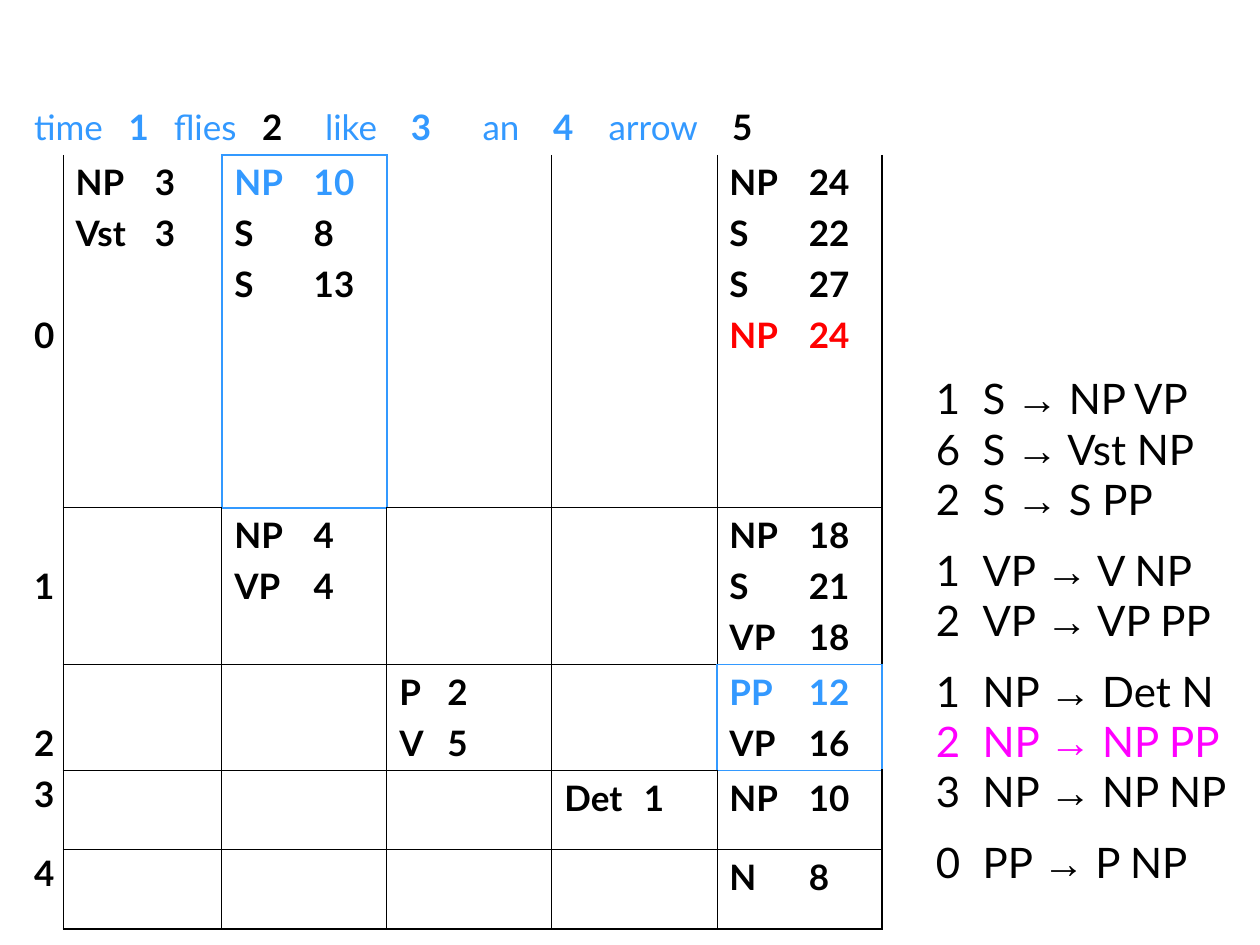
from lxml import etree
from pptx import Presentation
from pptx import util as u
from pptx.dml.color import RGBColor
from pptx.enum import text
from pptx.oxml.ns import qn

BLACK, BLUE, RED, PINK = "000000", "3399FF", "FF0000", "FF00FF"
COLS = [0.33, 1.26] + [1.31] * 4
ROWS = [0.44, 2.8, 1.24, 0.84, 0.63, 0.63]
PLAIN = "{2D5ABB26-0587-4C30-8999-92F81FD0307C}"  # no style, no grid
SIDES = {"L": (0, -1), "R": (0, 1), "T": (-1, 0), "B": (1, 0)}
FRAMED = {(1, 2), (3, 5)}

# word, colour, bold, tab position
WORDS = [
    ("time", BLUE, False, 0), ("1", BLUE, True, 0.75),
    ("flies", BLUE, False, 1.11), ("2", BLACK, True, 1.81),
    ("like", BLUE, False, 2.31), ("3", BLUE, True, 2.99),
    ("an", BLUE, False, 3.56), ("4", BLUE, True, 4.12),
    ("arrow", BLUE, False, 4.56), ("5", BLACK, True, 5.54),
]
# row label: line spacing, top margin
LABELS = [(1, 1.26), (2.2, 0.05), (2.2, 0.05), (0.9, 0.05), (0.9, 0.05)]
CHART = {
    (1, 1): [("NP", 3), ("Vst", 3)],
    (1, 2): [("NP", 10, BLUE), ("S", 8), ("S", 13)],
    (1, 5): [("NP", 24), ("S", 22), ("S", 27), ("NP", 24, RED)],
    (2, 2): [("NP", 4), ("VP", 4)],
    (2, 5): [("NP", 18), ("S", 21), ("VP", 18)],
    (3, 3): [("P", 2), ("V", 5)],
    (3, 5): [("PP", 12, BLUE), ("VP", 16)],
    (4, 4): [("Det", 1)],
    (4, 5): [("NP", 10)],
    (5, 5): [("N", 8)],
}
GRAMMAR = [
    [(1, "S", "NP VP"), (6, "S", "Vst NP"), (2, "S", "S PP")],
    [(1, "VP", "V NP"), (2, "VP", "VP PP")],
    [(1, "NP", "Det N"), (2, "NP", "NP PP", PINK), (3, "NP", "NP NP")],
    [(0, "PP", "P NP")],
]


def rgb(code):
    return RGBColor.from_string(code)


def add_run(para, words, size, color=BLACK, bold=False, face="Lato"):
    run = para.add_run()
    run.text = words
    font = run.font
    font.size, font.bold, font.name = u.Pt(size), bold, face
    font.color.rgb = rgb(color)


def set_tabs(para, *stops):
    tabs = etree.SubElement(para._p.get_or_add_pPr(), qn("a:tabLst"))
    for stop in stops:
        etree.SubElement(tabs, qn("a:tab"), pos=str(u.Inches(stop)), algn="l")


def paras(frame, items):
    """Yield one paragraph for each item, starting with the existing one."""
    for i, item in enumerate(items):
        yield (frame.add_paragraph() if i else frame.paragraphs[0]), item


def edge(row, col, side):
    """Return colour and width of a cell's edge, or None for no line."""
    down, over = SIDES[side]
    near = (row + down, col + over)
    if (row, col) in FRAMED or near in FRAMED:
        return BLUE, 1.08
    if 0 in (row, near[0]) or (col == 0 and side != "R"):
        return None
    outer = near[0] == len(ROWS) or near[1] == len(COLS)
    return BLACK, 1.08 if outer else 0.45


def set_edges(cell, row, col):
    cell.fill.background()
    props = cell._tc.get_or_add_tcPr()
    for i, side in enumerate(SIDES):
        look = edge(row, col, side)
        line = etree.Element(qn("a:ln" + side))
        props.insert(i, line)
        if look:
            line.set("w", str(u.Pt(look[1])))
            fill = etree.SubElement(line, qn("a:solidFill"))
            etree.SubElement(fill, qn("a:srgbClr"), val=look[0])
        else:
            etree.SubElement(line, qn("a:noFill"))


def fill_head(cell):
    para = cell.text_frame.paragraphs[0]
    set_tabs(para, *(stop for *_, stop in WORDS[1:]))
    for i, (word, color, bold, _) in enumerate(WORDS):
        add_run(para, "\t" + word if i else word, 20, color, bold)


def fill_label(cell, name, space, top):
    cell.margin_top = u.Inches(top)
    para = cell.text_frame.paragraphs[0]
    para.alignment = text.PP_ALIGN.CENTER
    para.line_spacing = space
    add_run(para, name, 20, bold=True)


def fill_cell(cell, entries, stop):
    for para, (name, cost, *color) in paras(cell.text_frame, entries):
        set_tabs(para, stop)
        if para is not None and (name, cost, *color) is not entries[0]:
            para.space_before = u.Pt(5)
        add_run(para, f"{name}\t{cost}", 20, *(color or [BLACK]), bold=True)
    cell.text_frame.paragraphs[0].space_before = u.Pt(0)


def add_parse(slide, left, top):
    frame = slide.shapes.add_table(
        len(ROWS), len(COLS), u.Inches(left), u.Inches(top),
        u.Inches(sum(COLS)), u.Inches(sum(ROWS)))
    table = frame.table
    table.first_row = table.horz_banding = False
    table._tbl.tblPr.find(qn("a:tableStyleId")).text = PLAIN
    for col, wide in zip(table.columns, COLS):
        col.width = u.Inches(wide)
    for row, high in zip(table.rows, ROWS):
        row.height = u.Inches(high)
    for r in range(len(ROWS)):
        for c in range(len(COLS)):
            set_edges(table.cell(r, c), r, c)
    table.cell(0, 0).merge(table.cell(0, len(COLS) - 1))
    fill_head(table.cell(0, 0))
    for i, (space, margin) in enumerate(LABELS):
        fill_label(table.cell(i + 1, 0), str(i), space, margin)
    for (r, c), entries in CHART.items():
        fill_cell(table.cell(r, c), entries, 0.38 if c == 3 else 0.63)


def add_rules(slide, left, top, wide, high):
    box = slide.shapes.add_textbox(*map(u.Inches, (left, top, wide, high)))
    frame = box.text_frame
    frame.word_wrap = True
    rules = [(i and not j, rule) for i, group in enumerate(GRAMMAR)
             for j, rule in enumerate(group)]
    for para, (gap, (cost, head, body, *color)) in paras(frame, rules):
        set_tabs(para, 0.37)
        para.line_spacing = 1.4 if gap else 1.0
        tint = color[0] if color else BLACK
        add_run(para, f"{cost}\t{head} ", 24, tint)
        add_run(para, "→", 24, tint, face="Arial")
        add_run(para, f" {body}", 24, tint)


def main():
    deck = Presentation()
    deck.slide_width, deck.slide_height = u.Inches(10), u.Inches(7.5)
    slide = deck.slides.add_slide(deck.slide_layouts[6])
    add_parse(slide, 0.17, 0.79)
    add_rules(slide, 7.33, 2.91, 2.67, 4.18)
    deck.save("out.pptx")


if __name__ == "__main__":
    main()
